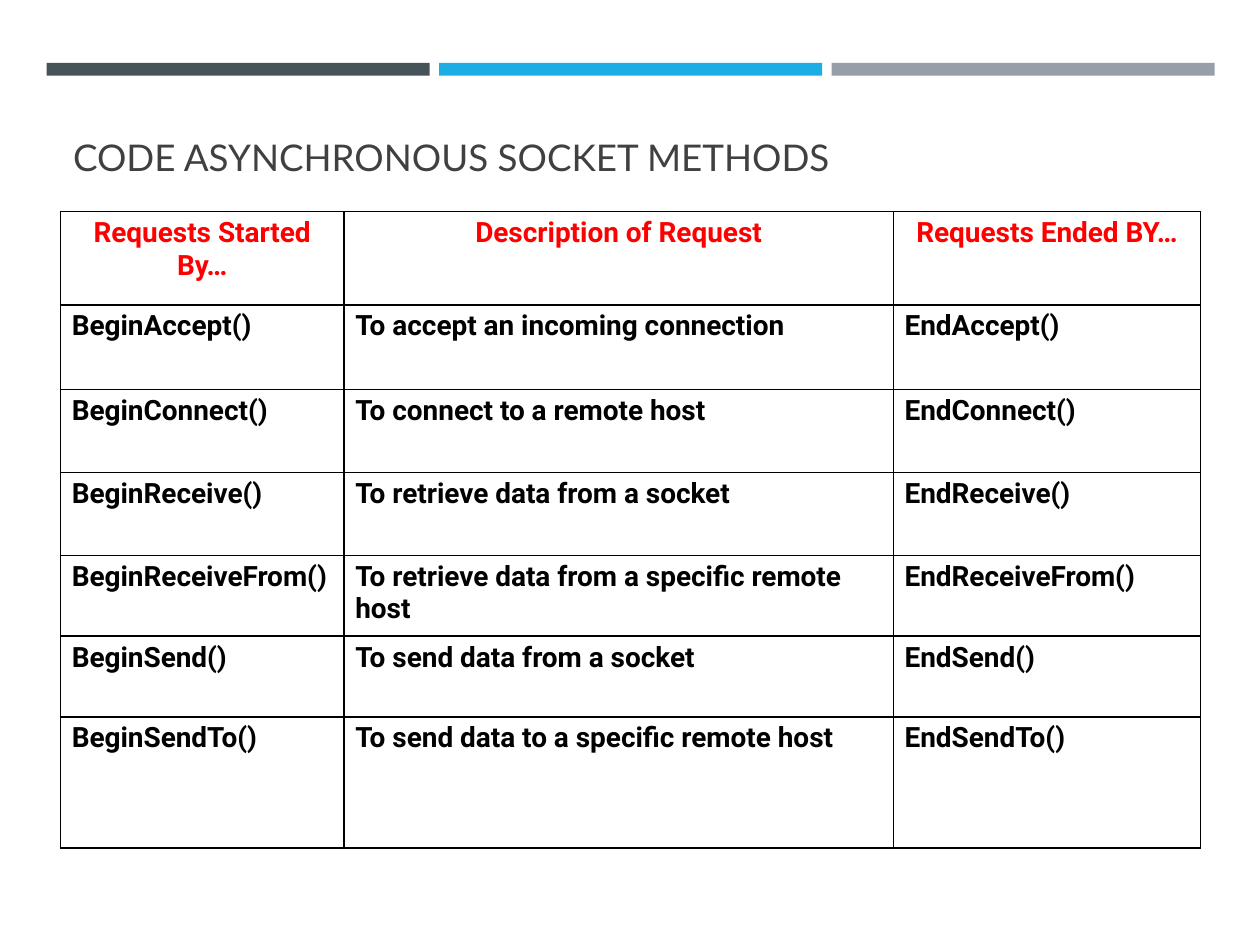
from lxml import etree
from pptx import Presentation
from pptx.dml.color import RGBColor
from pptx.enum.shapes import MSO_SHAPE
from pptx.enum.text import MSO_ANCHOR, PP_ALIGN
from pptx.oxml import parse_xml
from pptx.oxml.ns import nsdecls
from pptx.util import Inches, Pt

COLORS = {
    "slate": "465359",
    "blue": "1CADE4",
    "gray": "969FA7",
    "title": "404040",
    "header": "FF0000",
    "text": "000000",
    "white": "FFFFFF",
}


def style_text(para, font_name, size, color, bold=False):
    for span in para.runs:
        span.font.name = font_name
        span.font.size = Pt(size)
        span.font.bold = bold
        span.font.color.rgb = RGBColor.from_string(COLORS[color])


def add_borders(cell, color, width):
    properties = cell._tc.get_or_add_tcPr()
    for side in ("lnL", "lnR", "lnT", "lnB"):
        properties.append(parse_xml(
            f'<a:{side} {nsdecls("a")} w="{Pt(width)}"><a:solidFill>'
            f'<a:srgbClr val="{COLORS[color]}"/></a:solidFill></a:{side}>'))


deck = Presentation()
deck.slide_width = Inches(10)
deck.slide_height = Inches(7.5)
page = deck.slides.add_slide(deck.slide_layouts[5])

# Three bars across the top
for index, color in enumerate(("slate", "blue", "gray")):
    bar = page.shapes.add_shape(
        MSO_SHAPE.RECTANGLE, Inches(0.37 + index * 3.115), Inches(0.5),
        Inches(3.04), Inches(0.1))
    bar.shadow.inherit = False
    bar.fill.solid()
    bar.fill.fore_color.rgb = RGBColor.from_string(COLORS[color])
    bar.line.fill.background()

# Title
title = page.shapes.title
title.left, title.top = Inches(0.48), Inches(0.77)
title.width, title.height = Inches(9.05), Inches(0.7)
title.text_frame.text = "CODE ASYNCHRONOUS SOCKET METHODS"
title.text_frame.vertical_anchor = MSO_ANCHOR.BOTTOM
title_para = title.text_frame.paragraphs[0]
title_para.alignment = PP_ALIGN.LEFT
style_text(title_para, "Lato", 21, "title")

# Table of methods: each operation has a Begin and an End call
operations = [
    ("Accept", "To accept an incoming connection"),
    ("Connect", "To connect to a remote host"),
    ("Receive", "To retrieve data from a socket"),
    ("ReceiveFrom", "To retrieve data from a specific remote host"),
    ("Send", "To send data from a socket"),
    ("SendTo", "To send data to a specific remote host"),
]
rows = [("Requests Started By…", "Description of Request", "Requests Ended BY…")]
rows += [(f"Begin{name}()", description, f"End{name}()")
         for name, description in operations]
column_widths = (2.25, 4.36, 2.44)
row_heights = (0.74, 0.67, 0.66, 0.66, 0.64, 0.64, 1.04)

table = page.shapes.add_table(
    len(rows), len(column_widths), Inches(0.48), Inches(1.68),
    Inches(9.05), Inches(5.05)).table
for column, width in zip(table.columns, column_widths):
    column.width = Inches(width)
for row, height in zip(table.rows, row_heights):
    row.height = Inches(height)

for row_index, texts in enumerate(rows):
    is_header = row_index == 0
    for column_index, text in enumerate(texts):
        cell = table.cell(row_index, column_index)
        cell.text_frame.text = text
        cell.margin_left = cell.margin_right = Inches(0.09)
        cell.margin_top = cell.margin_bottom = Inches(0.04)
        add_borders(cell, "text", 1)
        cell.fill.solid()
        cell.fill.fore_color.rgb = RGBColor.from_string(COLORS["white"])
        para = cell.text_frame.paragraphs[0]
        para.alignment = PP_ALIGN.CENTER if is_header else PP_ALIGN.LEFT
        style_text(para, "Roboto", 16, "header" if is_header else "text", bold=True)

deck.save("out.pptx")
